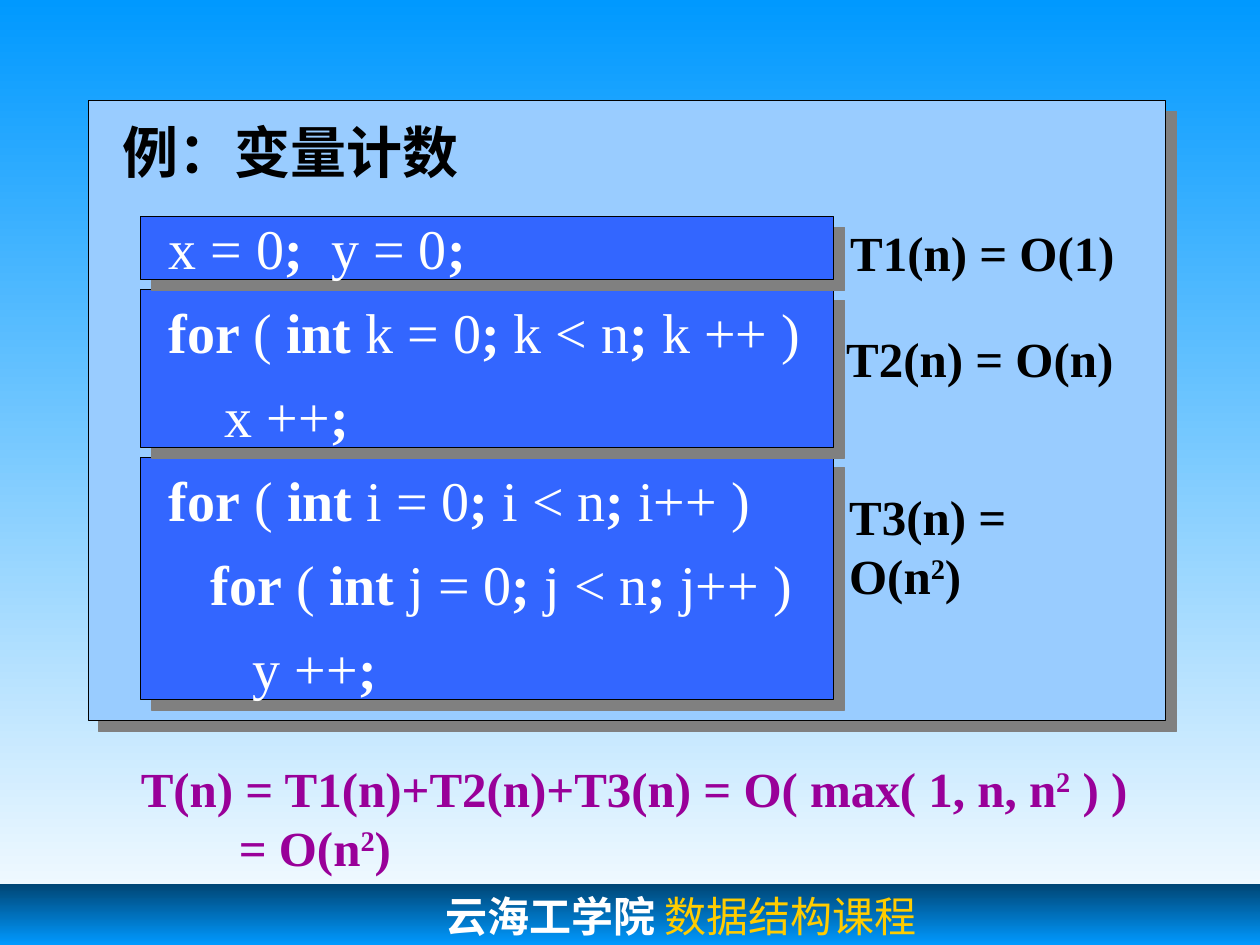
from lxml import etree
from pptx import Presentation
from pptx.dml.color import RGBColor
from pptx.enum.shapes import MSO_SHAPE
from pptx.enum.text import MSO_ANCHOR, MSO_AUTO_SIZE, PP_ALIGN
from pptx.oxml.ns import qn
from pptx.util import Cm, Pt

RECTANGLE = MSO_SHAPE.RECTANGLE
TOP = MSO_ANCHOR.TOP
NO_AUTOFIT = MSO_AUTO_SIZE.NONE
LEFT = PP_ALIGN.LEFT

SERIF = "Times New Roman"
MONO = "Noto Sans Mono"
COLORS = {
    "sky": "0099FF", "navy": "004675", "white": "FFFFFF", "black": "000000",
    "panel": "99CCFF", "block": "3366FF", "shadow": "808080",
    "result": "990099", "course": "FFCC00",
}

# Code lines: left indent in points, text with bold parts between bars
CODE_LINES = [
    (0, "x = 0|;|  y = 0|;"),
    (0, "|for |(| int| k = 0|;| k < n|;| k ++ )"),
    (32, "x ++|;"),
    (0, "|for| (| int |i = 0|;| i < n|;| i++ )"),
    (24, "|for| (| int| j = 0|;| j < n|;| j++ )"),
    (48, "y ++|;"),
]
# Formulas: superscripts between carets
COSTS = [
    (16.89, 4.37, "T1(n) = O(1)"),
    (16.81, 6.5, "T2(n) = O(n)"),
    (16.87, 9.68, "T3(n) = O(n^2^)"),
]
RESULT_LINES = [
    (0, "T(n) = T1(n)+T2(n)+T3(n) = O( max( 1, n, n^2^ ) )"),
    (56, "= O(n^2^)"),
]
BLOCK_HEIGHTS = [1.27, 3.18, 4.88]
BLOCK_TOP, BLOCK_GAP = 4.37, 0.2


def rgb(name):
    return RGBColor.from_string(COLORS[name])


def set_gradient(fill, top, bottom):
    fill.gradient()
    fill.gradient_angle = 270
    for stop, name, position in zip(fill.gradient_stops, (top, bottom), (0, 1)):
        stop.color.rgb = rgb(name)
        stop.position = position


def set_font(font, size, color, bold=None, name=SERIF):
    font.name, font.size, font.bold = name, Pt(size), bold
    font.color.rgb = rgb(color)


def add_shadowed_box(slide, left, top, width, height, color):
    shape = slide.shapes.add_shape(RECTANGLE, Cm(left), Cm(top), Cm(width), Cm(height))
    shape.fill.solid()
    shape.fill.fore_color.rgb = rgb(color)
    shape.line.color.rgb = rgb("black")
    shape.line.width = Pt(0.75)
    # Hard shadow, down and to the right
    shape.shadow.inherit = False
    effects = shape._element.spPr.find(qn("a:effectLst"))
    shadow = etree.SubElement(effects, qn("a:outerShdw"), dist=str(Pt(8.5)),
                              dir="2700000", algn="ctr", rotWithShape="0")
    etree.SubElement(shadow, qn("a:srgbClr"), val=COLORS["shadow"])


def place_placeholder(placeholder, left, top, width, height):
    placeholder.left, placeholder.top = Cm(left), Cm(top)
    placeholder.width, placeholder.height = Cm(width), Cm(height)
    # Bring it in front of the boxes
    placeholder._element.getparent().append(placeholder._element)
    frame = placeholder.text_frame
    frame.word_wrap = False
    frame.auto_size = NO_AUTOFIT
    frame.vertical_anchor = TOP
    return frame


def write_lines(frame, lines, size, color, bold, mark):
    """Write (indent, text) lines; parts between marks are bold or raised."""
    for number, (indent, text) in enumerate(lines):
        paragraph = frame.paragraphs[0] if number == 0 else frame.add_paragraph()
        paragraph.alignment = LEFT
        paragraph.space_before = Pt(0)
        properties = paragraph._p.get_or_add_pPr()
        properties.set("marL", str(Pt(indent)))
        properties.set("indent", "0")
        etree.SubElement(properties, qn("a:buNone"))
        set_font(paragraph.font, size, color, bold)
        for position, part in enumerate(text.split(mark)):
            if not part:
                continue
            run = paragraph.add_run()
            run.text = part
            set_font(run.font, size, color, bold)
            if position % 2 and mark == "|":
                run.font.bold = True
            elif position % 2:
                run.font._element.set("baseline", "30000")


def add_formula(slide, left, top, width, height, lines, color):
    box = slide.shapes.add_textbox(Cm(left), Cm(top), Cm(width), Cm(height))
    box.text_frame.word_wrap = False
    write_lines(box.text_frame, lines, 28, color, True, "^")


def add_footer(slide):
    band = slide.shapes.add_shape(RECTANGLE, 0, Cm(17.83), Cm(25.4), Cm(1.22))
    band.shadow.inherit = False
    band.line.fill.background()
    set_gradient(band.fill, "navy", "sky")
    frame = band.text_frame
    frame.vertical_anchor = TOP
    frame.margin_left = Cm(8.98)
    paragraph = frame.paragraphs[0]
    paragraph.alignment = LEFT
    for text, color, bold, name in (("云海工学院", "white", True, MONO),
                                    (" 数据结构课程", "course", False, SERIF)):
        run = paragraph.add_run()
        run.text = text
        set_font(run.font, 24, color, bold, name)


def main():
    presentation = Presentation()
    presentation.slide_width, presentation.slide_height = Cm(25.4), Cm(19.05)
    slide = presentation.slides.add_slide(presentation.slide_layouts[1])
    set_gradient(slide.background.fill, "sky", "white")
    add_footer(slide)

    # Panel, then code blocks from the bottom up so shadows fall on the next one
    add_shadowed_box(slide, 1.78, 2.03, 21.72, 12.5, "panel")
    for number in reversed(range(len(BLOCK_HEIGHTS))):
        top = BLOCK_TOP + sum(BLOCK_HEIGHTS[:number]) + number * BLOCK_GAP
        add_shadowed_box(slide, 2.84, top, 13.97, BLOCK_HEIGHTS[number], "block")

    # Title and code
    title = place_placeholder(slide.shapes.title, 2.21, 2.24, 7.29, 1.63)
    write_lines(title, [(0, "例：变量计数")], 32, "black", True, "|")
    code = place_placeholder(slide.placeholders[1], 3.15, 3.84, 13.26, 10.41)
    write_lines(code, CODE_LINES, 32, "white", False, "|")
    for paragraph in code.paragraphs:
        paragraph.line_spacing = 1.25

    # Cost of each block and the total
    for left, top, text in COSTS:
        add_formula(slide, left, top, 6, 1.45, [(0, text)], "black")
    add_formula(slide, 2.59, 15.16, 20.42, 2.72, RESULT_LINES, "result")

    presentation.save("out.pptx")


if __name__ == "__main__":
    main()
